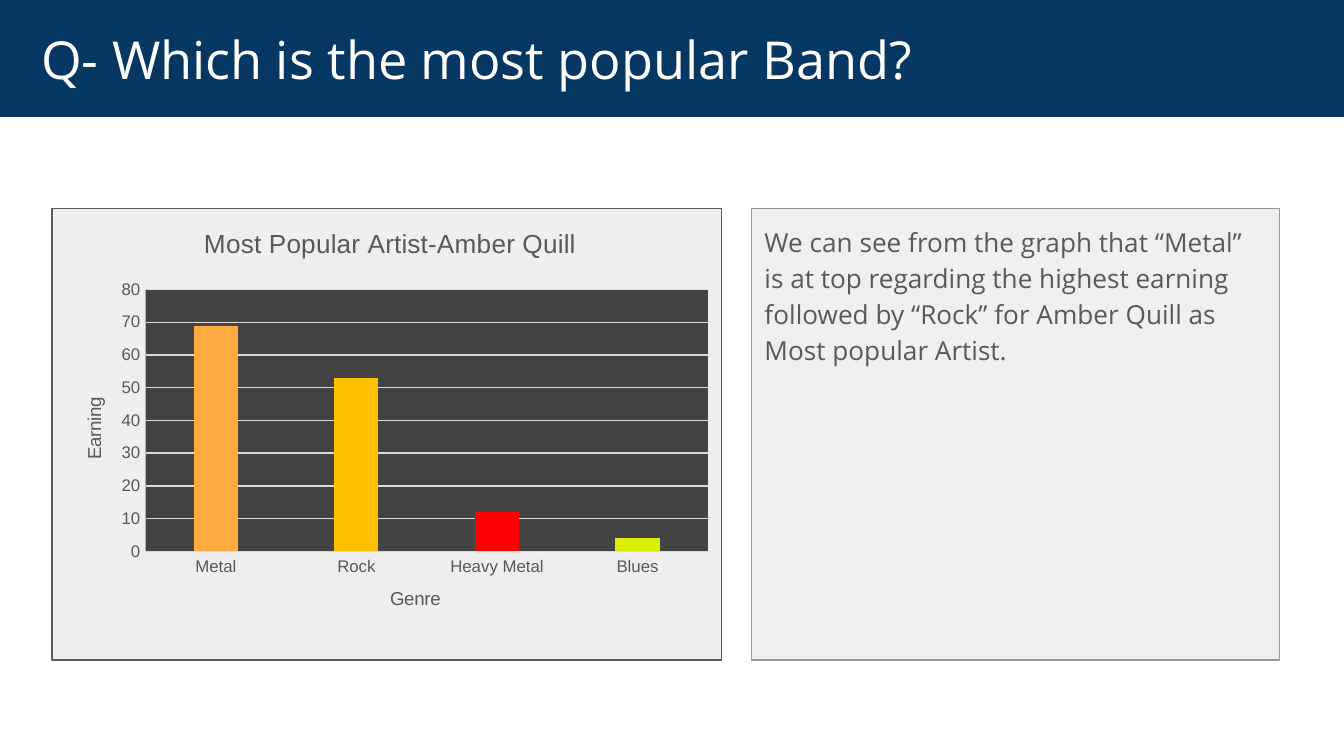
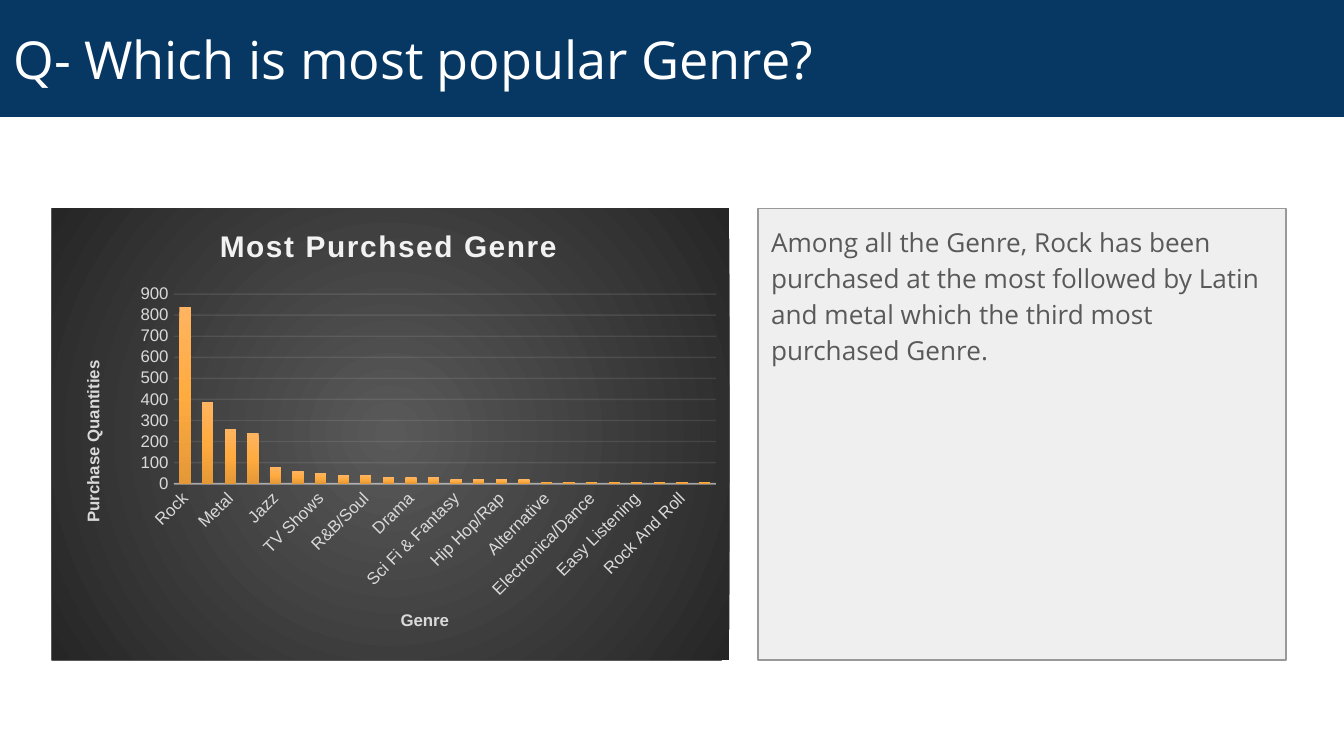
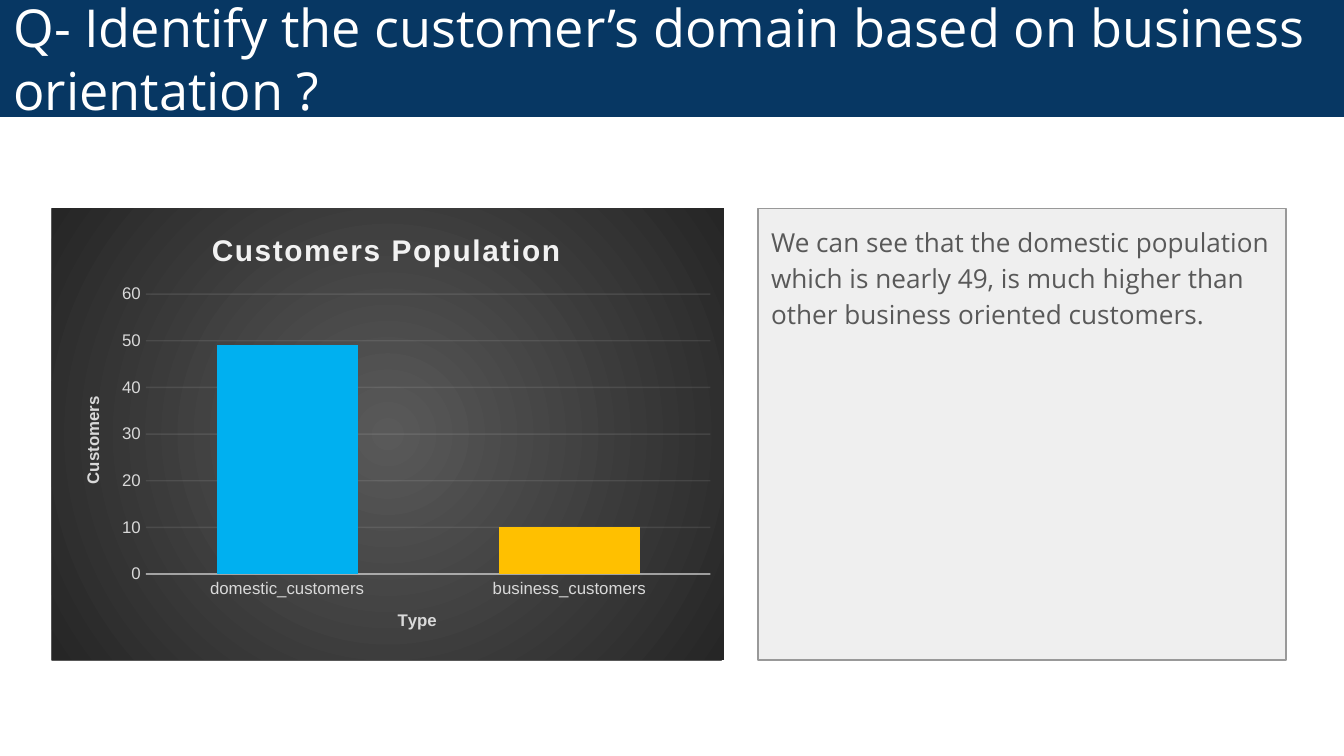
from lxml.etree import SubElement
from pptx import Presentation
from pptx.chart.data import CategoryChartData
from pptx.dml.color import RGBColor
from pptx.enum.chart import XL_CHART_TYPE as ChartType, XL_TICK_MARK as Tick
from pptx.enum.shapes import MSO_SHAPE as Shape
from pptx.enum.text import MSO_ANCHOR as Anchor, MSO_AUTO_SIZE as AutoSize, PP_ALIGN as Align
from pptx.oxml import parse_xml
from pptx.oxml.ns import nsdecls, qn
from pptx.util import Pt

NAVY, WHITE, GREY_TEXT = "073763", "FFFFFF", "595959"
ORANGE, AMBER = "FFAB40", "FFC000"
PANEL_TOP, PANEL_HEIGHT = 111.6, 242
CHART_LEFT, PANEL_WIDTH, NOTE_WIDTH = 27.8, 358.6, 283

LIGHT = dict(text=GREY_TEXT, title=GREY_TEXT, title_size=14, axis_title_size=10,
             bold=False, spacing=0, grid="D9D9D9", grid_alpha=100,
             axis_line="D9D9D9", axis_alpha=100, axis_width=0.75)
DARK = dict(text="D9D9D9", title="F2F2F2", title_size=16, axis_title_size=9,
            bold=True, spacing=100, grid="F2F2F2", grid_alpha=10,
            axis_line="F2F2F2", axis_alpha=54, axis_width=1)
BACKDROP = [(0, "595959"), (100, "262626")]
ORANGE_SHADE = [(0, "FFB461"), (50, ORANGE), (100, "E59837")]


def rgb(value):
    """Turn a hex string into a colour."""
    return RGBColor.from_string(value)


def solid(fill, colour):
    """Give a fill one plain colour."""
    fill.solid()
    fill.fore_color.rgb = rgb(colour)


def stroke(line, colour, width, alpha=100):
    """Set colour, width and opacity in percent of a line."""
    solid(line.fill, colour)
    line.width = Pt(width)
    if alpha < 100:
        clr = next(line.fill._xPr.iter(qn("a:srgbClr")))
        SubElement(clr, qn("a:alpha")).set("val", str(alpha * 1000))


def gradient_props(stops, radial=False):
    """Build chart shape properties with a radial or downward gradient."""
    marks = "".join(f'<a:gs pos="{pos * 1000}"><a:srgbClr val="{colour}"/></a:gs>'
                    for pos, colour in stops)
    way = ('<a:path path="circle"><a:fillToRect l="50000" t="50000" r="50000" b="50000"/>'
           '</a:path>' if radial else '<a:lin ang="5400000" scaled="0"/>')
    return parse_xml(f'<c:spPr {nsdecls("c", "a")}><a:gradFill><a:gsLst>{marks}</a:gsLst>'
                     f'{way}</a:gradFill><a:ln><a:noFill/></a:ln></c:spPr>')


def manual_layout(x, y, w=None, h=None):
    """Build a chart layout from fractions of the chart's size."""
    inner = '<c:layoutTarget val="inner"/>' if w else ""
    sizes = f'<c:w val="{w}"/><c:h val="{h}"/>' if w else ""
    return parse_xml(f'<c:layout {nsdecls("c")}><c:manualLayout>{inner}<c:xMode val="edge"/>'
                     f'<c:yMode val="edge"/><c:x val="{x}"/><c:y val="{y}"/>{sizes}'
                     '</c:manualLayout></c:layout>')


def drop_layout(element):
    """Remove the automatic layout of a chart part."""
    for layout in element.findall(qn("c:layout")):
        element.remove(layout)


def write(frame, text, font="Open Sans", size=14, colour=GREY_TEXT, bold=False,
          align=Align.LEFT, line_spacing=None, after=0, spacing=0):
    """Put one formatted paragraph into a text frame."""
    paragraph = frame.paragraphs[0]
    paragraph.alignment = align
    paragraph.space_after = Pt(after)
    if line_spacing:
        paragraph.line_spacing = line_spacing
    run = paragraph.add_run()
    run.text = text
    run.font.name, run.font.size, run.font.bold = font, Pt(size), bold
    run.font.color.rgb = rgb(colour)
    if spacing:
        run.font._element.set("spc", str(spacing))


def write_chart_title(title, text, place, **style):
    """Write a chart or axis title and put it at its place."""
    write(title.text_frame, text, font="Arial", align=Align.CENTER, **style)
    drop_layout(title._element)
    title._element.find(qn("c:tx")).addnext(manual_layout(*place))


class Deck:
    """Holds the presentation, its style and the current slide."""

    def __init__(self):
        """Start an empty wide presentation."""
        self.deck = Presentation()
        self.deck.slide_width, self.deck.slide_height = Pt(720), Pt(405)
        self.slide = None

    def question(self, text, inset=7.2):
        """Add a slide with its question in the title band."""
        self.slide = self.deck.slides.add_slide(self.deck.slide_layouts[5])
        band = self.slide.shapes.title
        band.left, band.top, band.width, band.height = Pt(0), Pt(0), Pt(720), Pt(62.6)
        solid(band.fill, NAVY)
        frame = self.frame(band, Anchor.MIDDLE)
        frame.margin_left = Pt(inset)
        write(frame, text, size=28, colour=WHITE, line_spacing=1.0)

    def frame(self, shape, anchor):
        """Prepare the text frame of a shape."""
        frame = shape.text_frame
        frame.word_wrap, frame.auto_size = True, AutoSize.NONE
        frame.vertical_anchor = anchor
        frame.margin_left = frame.margin_right = Pt(7.2)
        frame.margin_top = frame.margin_bottom = Pt(7.2)
        return frame

    def panel(self, left, width, fill, line):
        """Add an outlined rectangle in the content row."""
        panel = self.slide.shapes.add_shape(
            Shape.RECTANGLE, Pt(left), Pt(PANEL_TOP), Pt(width), Pt(PANEL_HEIGHT))
        panel.shadow.inherit = False
        solid(panel.fill, fill)
        stroke(panel.line, line, 0.75)
        return panel

    def finding(self, text, left=406):
        """Add the text panel and the panel that lies behind the chart."""
        note = self.panel(left, NOTE_WIDTH, "EFEFEF", "999999")
        write(self.frame(note, Anchor.TOP), text, line_spacing=1.15, after=16)
        self.panel(CHART_LEFT, PANEL_WIDTH, "EEEEEE", GREY_TEXT)

    def columns(self, values, titles, places, plot, look, top, step, width=PANEL_WIDTH,
                gap=100, overlap=-24, point_colours=None):
        """Add a column chart; titles and places go chart, category, value."""
        data = CategoryChartData()
        data.categories = list(values)
        data.add_series("Series 1", list(values.values()))
        chart = self.slide.shapes.add_chart(
            ChartType.COLUMN_CLUSTERED, Pt(CHART_LEFT), Pt(PANEL_TOP), Pt(width),
            Pt(PANEL_HEIGHT), data).chart
        chart.has_legend = False
        chart.font.name, chart.font.size = "Arial", Pt(10)

        bars = chart.plots[0]
        bars.gap_width, bars.overlap, bars.vary_by_categories = gap, overlap, False
        for index, colour in (point_colours or {}).items():
            solid(bars.series[0].points[index].format.fill, colour)

        category, value = chart.category_axis, chart.value_axis
        for axis in (category, value):
            axis.major_tick_mark = axis.minor_tick_mark = Tick.NONE
            font = axis.tick_labels.font
            font.name, font.size, font.color.rgb = "Arial", Pt(9), rgb(look["text"])
        stroke(category.format.line, look["axis_line"], look["axis_width"], look["axis_alpha"])
        value.format.line.fill.background()
        value.minimum_scale, value.maximum_scale, value.major_unit = 0, top, step
        stroke(value.major_gridlines.format.line, look["grid"], 0.75, look["grid_alpha"])

        write_chart_title(chart.chart_title, titles[0], places[0], size=look["title_size"],
                          colour=look["title"], bold=look["bold"], spacing=look["spacing"])
        chart.chart_title.include_in_layout = False
        for axis, text, place in zip((category, value), titles[1:], places[1:]):
            write_chart_title(axis.axis_title, text, place, size=look["axis_title_size"],
                              colour=look["text"], bold=look["bold"])
        turn = value.axis_title.text_frame._txBody.find(qn("a:bodyPr"))
        turn.set("rot", "-5400000")
        turn.set("vert", "horz")

        area = next(chart.element.iter(qn("c:plotArea")))
        drop_layout(area)
        area.insert(0, manual_layout(*plot))
        return chart

    def plain_plot(self, chart, bar_colour, plot_colour):
        """Give a chart plain bars on a plain plot area."""
        solid(chart.plots[0].series[0].format.fill, bar_colour)
        next(chart.element.iter(qn("c:plotArea"))).append(parse_xml(
            f'<c:spPr {nsdecls("c", "a")}><a:solidFill><a:srgbClr val="{plot_colour}"/>'
            '</a:solidFill></c:spPr>'))

    def shaded(self, chart):
        """Give a chart a dark radial backdrop and shaded bars."""
        chart.element.find(qn("c:chart")).addnext(gradient_props(BACKDROP, radial=True))
        series = chart.plots[0].series[0]
        series.format.fill.background()
        old = series._element.find(qn("c:spPr"))
        old.addnext(gradient_props(ORANGE_SHADE))
        series._element.remove(old)

    def slant_labels(self, chart, skip):
        """Turn the category labels and show only every nth one."""
        axis = chart.category_axis._element
        axis.find(qn("c:txPr")).find(qn("a:bodyPr")).set("rot", "-2700000")
        axis.find(qn("c:lblOffset")).addnext(
            parse_xml(f'<c:tickLblSkip {nsdecls("c")} val="{skip}"/>'))


def build_band(deck):
    """Build the slide on the most popular band."""
    deck.question("Q- Which is the most popular Band?", inset=22)
    deck.finding("We can see from the graph that “Metal” is at top regarding the highest "
                 "earning followed by “Rock” for Amber Quill as Most popular Artist.", left=402.5)
    chart = deck.columns(
        {"Metal": 69, "Rock": 53, "Heavy Metal": 12, "Blues": 4},
        ("Most Popular Artist-Amber Quill", "Genre", "Earning"),
        [(0.22, 0.03), (0.5, 0.83), (0.04, 0.41)], (0.14, 0.18, 0.84, 0.58),
        LIGHT, top=80, step=10, gap=219, overlap=-27,
        point_colours={1: AMBER, 2: "FF0000", 3: "DBF000"})
    deck.plain_plot(chart, ORANGE, "434343")


def build_genre(deck):
    """Build the slide on the most popular genre."""
    deck.question("Q- Which is most popular Genre?")
    deck.finding("Among all the Genre, Rock has been purchased at the most followed by Latin "
                 "and metal which the third most purchased Genre.")
    purchases = {
        "Rock": 840, "Latin": 390, "Metal": 260, "Alternative & Punk": 240, "Jazz": 80,
        "Blues": 60, "TV Shows": 50, "Classical": 40, "R&B/Soul": 40, "Reggae": 30,
        "Drama": 30, "Pop": 30, "Sci Fi & Fantasy": 20, "Soundtrack": 20, "Hip Hop/Rap": 20,
        "Bossa Nova": 20, "Alternative": 10, "World": 10, "Electronica/Dance": 10,
        "Heavy Metal": 10, "Easy Listening": 10, "Comedy": 10, "Rock And Roll": 10,
        "Science Fiction": 10}
    chart = deck.columns(
        purchases, ("Most Purchsed Genre", "Genre", "Purchase Quantities"),
        [(0.24, 0.03), (0.51, 0.88), (0.04, 0.33)], (0.18, 0.19, 0.8, 0.42),
        DARK, top=900, step=100, width=363)
    deck.shaded(chart)
    deck.slant_labels(chart, skip=2)


def build_customers(deck):
    """Build the slide on the customers' domain."""
    deck.question("Q- Identify the customer’s domain based on business orientation ?")
    deck.finding("We can see that the domestic population which is nearly 49, is much higher "
                 "than other business oriented customers.")
    chart = deck.columns(
        {"domestic_customers": 49, "business_customers": 10},
        ("Customers Population", "Type", "Customers"),
        [(0.23, 0.04), (0.51, 0.88), (0.04, 0.41)], (0.14, 0.19, 0.84, 0.62),
        DARK, top=60, step=10, width=360, point_colours={0: "00B0F0", 1: AMBER})
    deck.shaded(chart)


show = Deck()
for build in (build_band, build_genre, build_customers):
    build(show)
show.deck.save("out.pptx")
